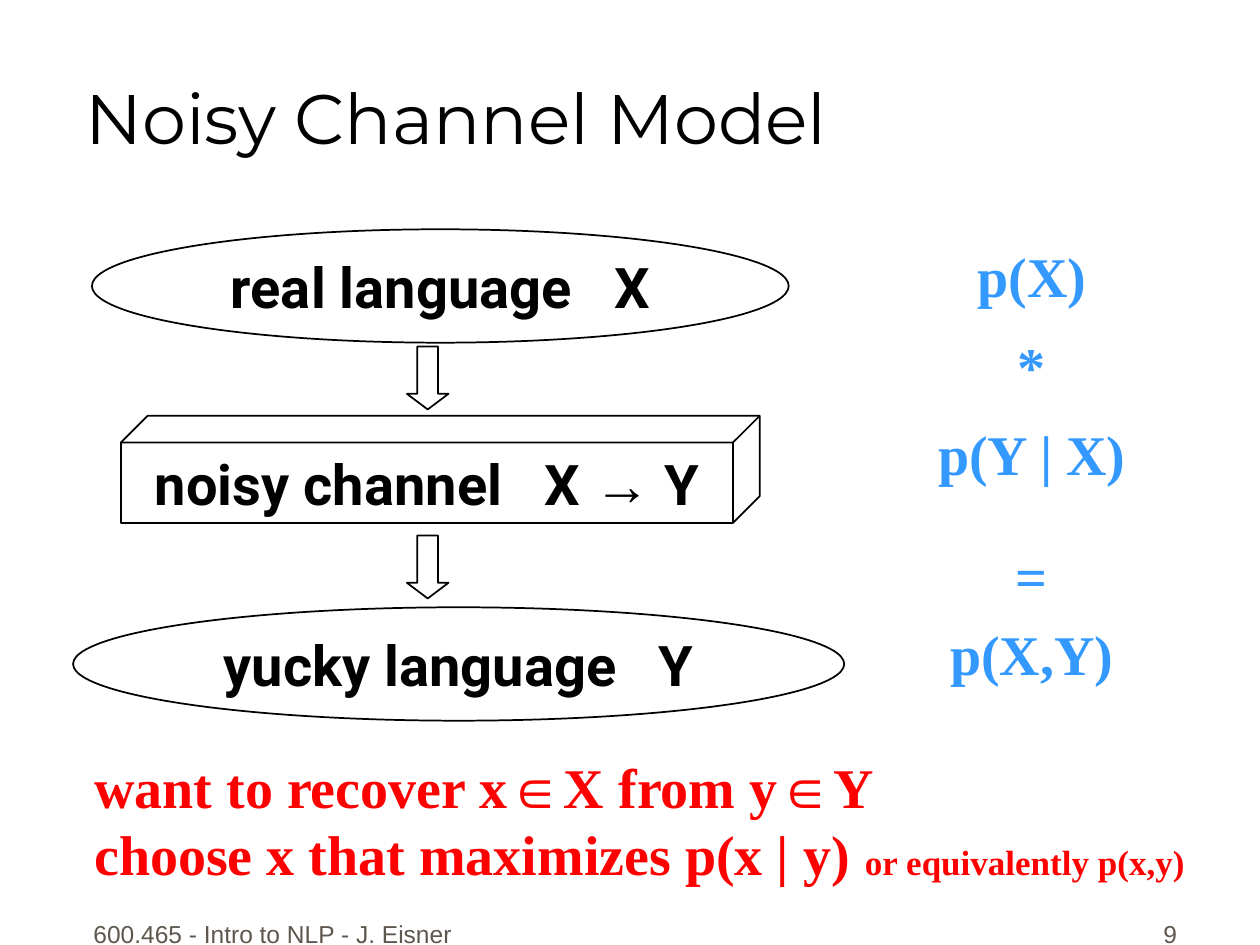
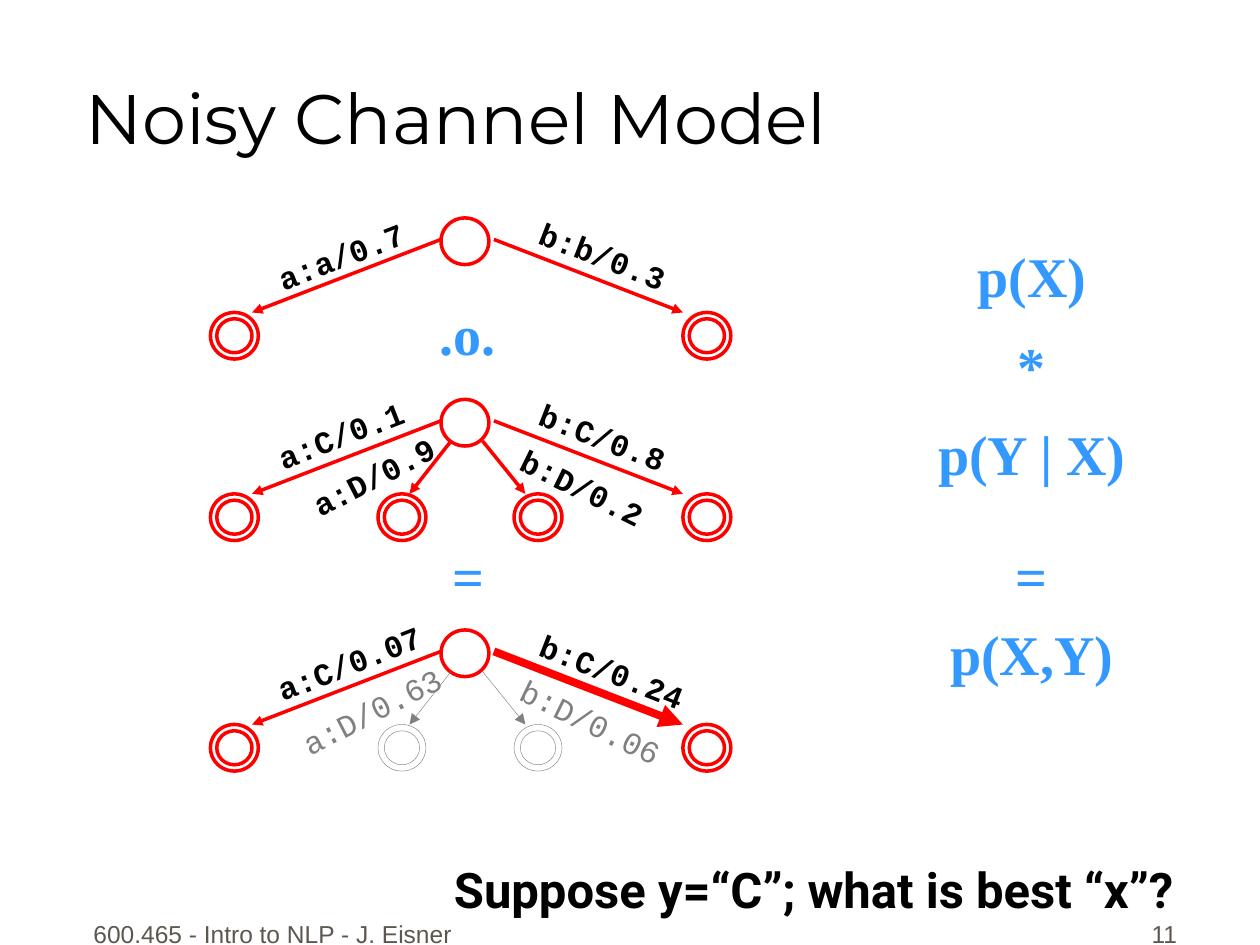
from pptx import Presentation, util as u
from pptx.dml.color import RGBColor
from pptx.enum import shapes as sh, text as tx
from pptx.oxml.ns import qn
from lxml import etree

BLACK, RED, BLUE, GREY, BROWN = "000000", "FF0000", "3399FF", "808080", "5E574E"
SERIF, SANS, MONO = "Times New Roman", "Roboto", "Courier New"
OVAL = sh.MSO_SHAPE.OVAL
LEFT, MID, RIGHT = tx.PP_ALIGN.LEFT, tx.PP_ALIGN.CENTER, tx.PP_ALIGN.RIGHT
TOP, LOW = tx.MSO_ANCHOR.TOP, tx.MSO_ANCHOR.BOTTOM


def write(shape, words, size=32, font=SERIF, color=BLACK, bold=True,
          align=MID, anchor=TOP, before=0, grow=True, turn=0):
    """Fill a shape with lines; a line is a string or a list of (text, changes)."""
    frame = shape.text_frame
    frame.word_wrap = not grow
    frame.auto_size = tx.MSO_AUTO_SIZE.SHAPE_TO_FIT_TEXT if grow else tx.MSO_AUTO_SIZE.NONE
    frame.vertical_anchor = anchor
    shape.rotation = turn
    for i, line in enumerate([words] if isinstance(words, str) else words):
        para = frame.add_paragraph() if i else frame.paragraphs[0]
        para.alignment = align
        para.space_before = u.Pt(before)
        for part, diff in [(line, {})] if isinstance(line, str) else line:
            run = para.add_run()
            run.text = part
            run.font.size = u.Pt(diff.get("size", size))
            run.font.name = diff.get("font", font)
            run.font.bold = bold
            run.font.color.rgb = RGBColor.from_string(color)
            if "gap" in diff:
                run.font._element.set("spc", str(diff["gap"] * 100))


def draw(home, kind, at, color=BLACK, width=1):
    """Add an outlined shape, or an arrow when kind is None."""
    spots = [u.Inches(v) for v in at]
    if kind is None:
        item = home.add_connector(sh.MSO_CONNECTOR.STRAIGHT, *spots)
        etree.SubElement(item.line._get_or_add_ln(), qn("a:tailEnd"), type="triangle")
    else:
        item = home.add_shape(kind, *spots)
        item.fill.background()
        item.shadow.inherit = False
    item.line.color.rgb = RGBColor.from_string(color)
    item.line.width = u.Pt(width)
    if kind is None:
        etree.SubElement(item._element.spPr, qn("a:effectLst"))
    return item


deck = Presentation()
deck.slide_width, deck.slide_height = u.Inches(10), u.Inches(7.5)

# Shared title, footer, page number and formula column
COLUMN = 8.19
FORMULA = [("p(X)", 1.87, 1.2), ("*", 2.58, 0.5), ("p(Y | X)", 3.28, 1.8),
           ("=", 4.25, 0.5), ("p(X,Y)", 4.87, 1.6)]
foot = dict(size=14, font="Arial", color=BROWN, bold=False, anchor=LOW,
            before=8.8, grow=False)
pages = []
for number in ("9", "11"):
    page = deck.slides.add_slide(deck.slide_layouts[6]).shapes
    pages.append(page)
    frames = [
        ((0.58, 7.08, 3.17, 0.5), "600.465 - Intro to NLP - J. Eisner", foot),
        ((7.36, 7.08, 2.08, 0.5), number, dict(foot, align=RIGHT)),
        ((0.58, 0.06, 8.22, 1.25), "Noisy Channel Model",
         dict(size=40, font="Montserrat", bold=False, align=LEFT, anchor=LOW, grow=False)),
    ]
    frames += [((COLUMN - wide / 2, top, wide, 0.64), term, dict(color=BLUE))
               for term, top, wide in FORMULA]
    for at, words, style in frames:
        write(page.add_textbox(*map(u.Inches, at)), words, **style)
model, trees = pages

# Slide 1: language, channel, language
gap = (" ", {"gap": 16})
arial = {"font": "Arial"}
stages = [
    (sh.MSO_SHAPE.CUBE, (0.96, 3.3, 5.07, 0.85),
     [("noisy channel", {}), gap, ("X ", {}), ("→", arial), (" Y", {})]),
    (OVAL, (0.73, 1.82, 5.53, 0.9), [("real language", {}), gap, ("X", {})]),
    (OVAL, (0.58, 4.82, 6.12, 0.9), [("yucky language", {}), gap, ("Y", {})]),
]
for kind, at, line in stages:
    write(draw(model, kind, at), [line], font=SANS, anchor=tx.MSO_ANCHOR.MIDDLE)
for top in (2.75, 4.25):
    arrow = draw(model, sh.MSO_SHAPE.DOWN_ARROW, (3.23, top, 0.33, 0.5))
    arrow.adjustments[1] = 0.375

# Slide 1: goal
goal = model.add_textbox(*map(u.Inches, (0.65, 5.92, 8.86, 1.17)))
write(goal, [
    [("want to recover x", {}), ("∈", arial), ("X from y", {}), ("∈", arial), ("Y", {})],
    [("choose x that maximizes p(x | y) ", {}), ("or equivalently p(x,y)", {"size": 20})],
], color=RED, align=LEFT)

# Slide 2: branches as start x, start drop, end x, leaf x, label angle
BRANCH = {
    "far left": (3.5, 0.17, 2, 1.67, -21.3),
    "near left": (3.58, 0.33, 3.25, 3, -27.3),
    "near right": (3.83, 0.33, 4.17, 4.08, 26.3),
    "far right": (3.92, 0.17, 5.42, 5.42, 21.3),
}
DROP = 0.75
# Each tree: root top, then branch, label, label left and top, colour, line width
FOREST = [
    (1.73, [("far left", "a:a/0.7", 2.08, 1.83, RED, 2),
            ("far right", "b:b/0.3", 4.16, 1.83, RED, 2)]),
    (3.17, [("far left", "a:C/0.1", 2.08, 3.25, RED, 2),
            ("near left", "a:D/0.9", 2.34, 3.58, RED, 2),
            ("near right", "b:D/0.2", 4, 3.67, RED, 2),
            ("far right", "b:C/0.8", 4.16, 3.27, RED, 2)]),
    (5, [("far left", "a:C/0.07", 2.07, 5.06, RED, 2),
         ("near left", "a:D/0.63", 2.25, 5.44, GREY, 0.25),
         ("near right", "b:D/0.06", 3.99, 5.53, GREY, 0.25),
         ("far right", "b:C/0.24", 4.16, 5.13, RED, 4.5)]),
]
for root, arcs in FOREST:
    draw(trees, OVAL, (3.5, root, 0.38, 0.37), RED, 2)
    for branch, label, left, top, color, width in arcs:
        start, fall, end, leaf, angle = BRANCH[branch]
        base = root + DROP
        draw(trees, None, (start, root + fall, end, base), color, width)
        ring = trees.add_group_shape().shapes
        for inset in (0, 0.05):
            draw(ring, OVAL, (leaf + inset, base + inset, 0.38 - 2 * inset, 0.37 - 2 * inset),
                 color, min(width, 2))
        live = color == RED
        box = trees.add_textbox(*map(u.Inches, (left, top, 1.25 if len(label) == 7 else 1.4, 0.4)))
        write(box, label, size=18, font=MONO, color=BLACK if live else GREY,
              bold=live, align=LEFT, before=11.2, turn=angle)

# Slide 2: operators and question
for sign, at in ((".o.", (3.31, 2.33, 0.8, 0.64)), ("=", (3.47, 4.25, 0.5, 0.64))):
    write(trees.add_textbox(*map(u.Inches, at)), sign, color=BLUE)
ask = trees.add_textbox(*map(u.Inches, (3.04, 6.77, 6.37, 0.56)))
write(ask, "Suppose y=“C”; what is best “x”?", size=28, font=SANS, align=RIGHT)

deck.save("out.pptx")
